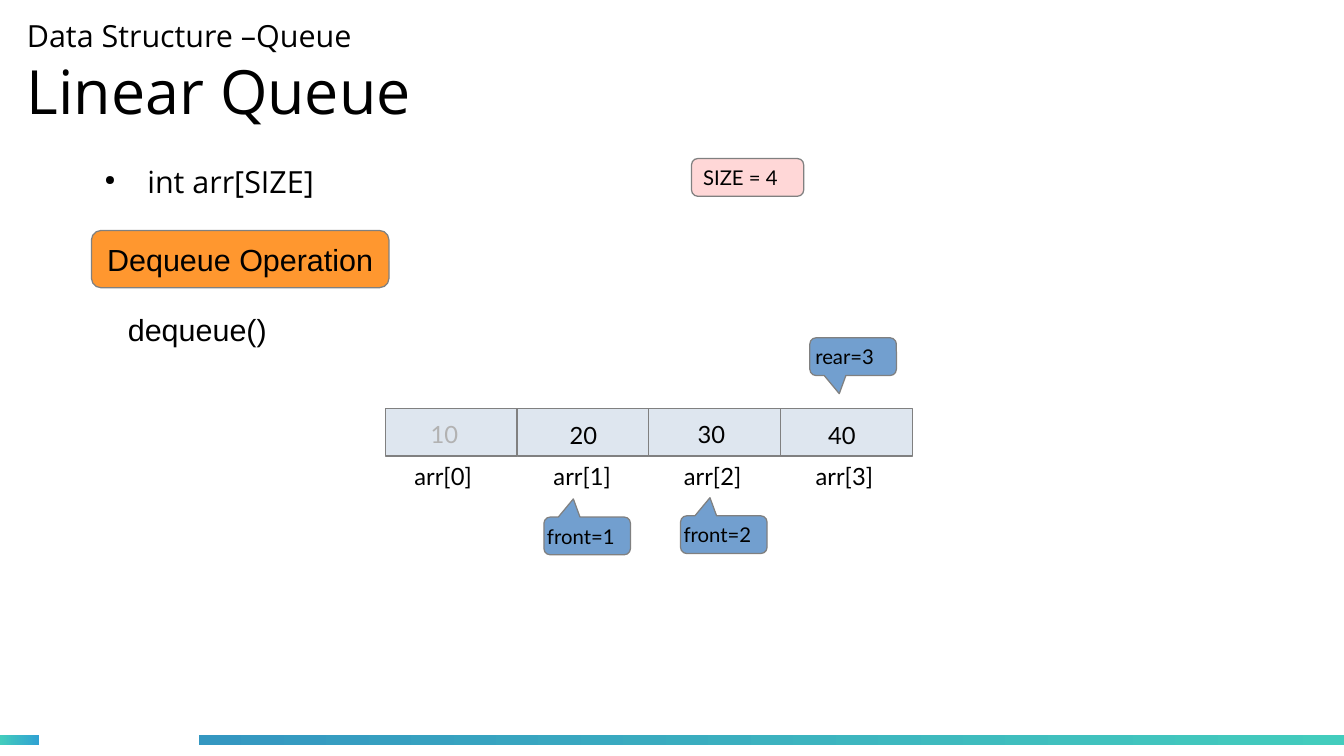
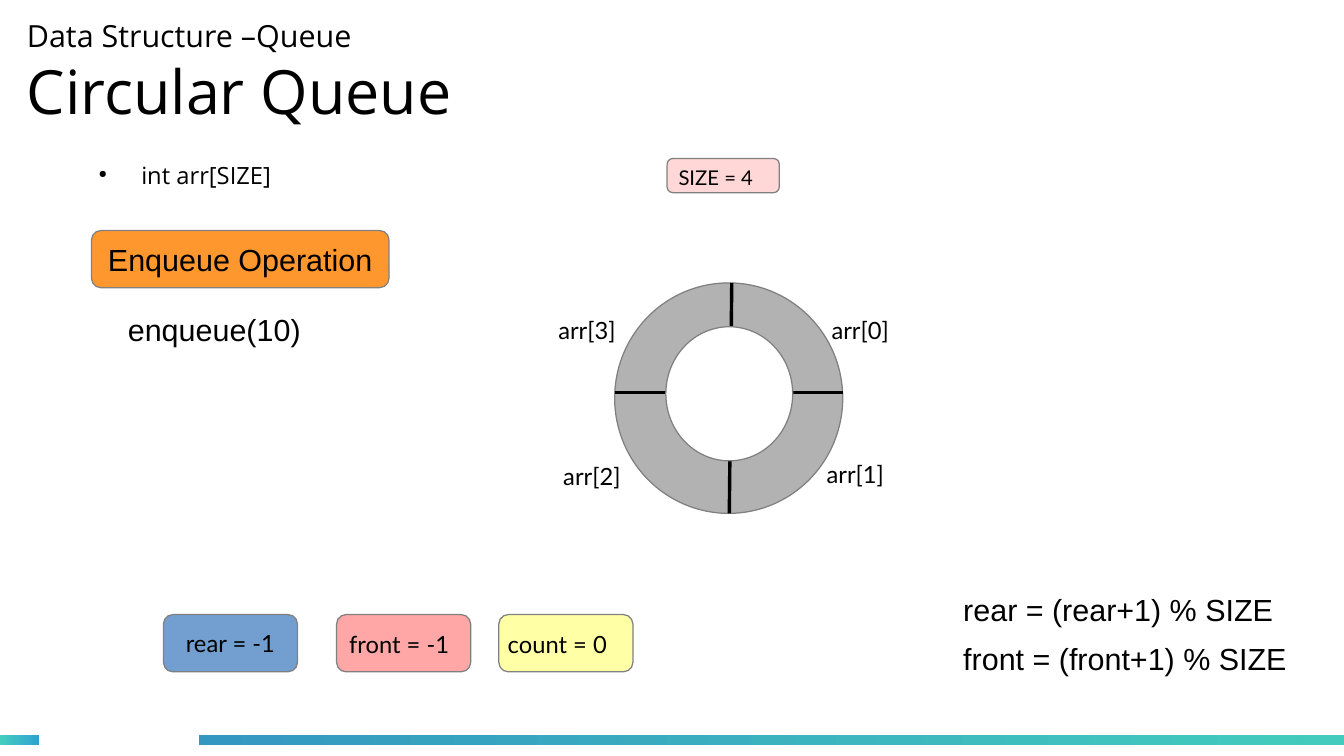
"""Builds two slides on linear and circular queues."""
from dataclasses import dataclass

from lxml import etree
from pptx import Presentation
from pptx.dml.color import RGBColor
from pptx.enum.shapes import MSO_CONNECTOR, MSO_SHAPE
from pptx.enum.text import MSO_ANCHOR, PP_ALIGN
from pptx.oxml.ns import qn
from pptx.util import Inches, Pt

RECT = MSO_SHAPE.RECTANGLE
ROUND = MSO_SHAPE.ROUNDED_RECTANGLE
CALLOUT = MSO_SHAPE.ROUNDED_RECTANGULAR_CALLOUT
OVAL = MSO_SHAPE.OVAL
STRAIGHT = MSO_CONNECTOR.STRAIGHT
TOP, MIDDLE = MSO_ANCHOR.TOP, MSO_ANCHOR.MIDDLE
LEFT, CENTER = PP_ALIGN.LEFT, PP_ALIGN.CENTER


@dataclass(frozen=True)
class Theme:
    black: str = "000000"
    white: str = "FFFFFF"
    outline: str = "808080"
    gray: str = "B2B2B2"
    cell: str = "DEE6EF"
    blue: str = "729FCF"
    pink: str = "FFD7D7"
    red: str = "FFA6A6"
    yellow: str = "FFFFA6"
    orange: str = "FF972F"
    teal: str = "43CCBD"
    band_short: str = "30A2D2"
    band_long: str = "3497C1"
    heading: str = "Open Sans"
    label: str = "Lato"
    body: str = "Arial"
    title_size: int = 36
    body_size: int = 18
    label_size: int = 14
    small_size: int = 12


T = Theme()


def rgb(color):
    return RGBColor.from_string(color)


class Deck:
    def __init__(self):
        self.prs = Presentation()
        self.prs.slide_width = Inches(11.02)
        self.prs.slide_height = Inches(6.2)
        self.s = None

    def style(self, r, size, font, color=T.black):
        r.font.size = Pt(size)
        r.font.name = font
        r.font.color.rgb = rgb(color)

    def insets(self, tf, left=0.1, top=0.05, right=0.0, bottom=0.0):
        tf.margin_left, tf.margin_top = Inches(left), Inches(top)
        tf.margin_right, tf.margin_bottom = Inches(right), Inches(bottom)

    def add_slide(self, title):
        self.s = self.prs.slides.add_slide(self.prs.slide_layouts[6])
        self.band(0, 0.32, T.teal, T.band_short)
        self.band(1.63, 9.4, T.band_long, T.teal)
        tf = self.s.shapes.add_textbox(
            Inches(0.22), Inches(0.08), Inches(7.68), Inches(1.02)).text_frame
        tf.word_wrap = True
        tf.vertical_anchor = MIDDLE
        self.insets(tf, 0, 0)
        p = tf.paragraphs[0]
        p.text = "Data Structure –Queue\v" + title
        for r, size in zip(p.runs, (T.body_size, T.title_size)):
            self.style(r, size, T.heading)

    def band(self, x, w, start, end):
        sp = self.s.shapes.add_shape(
            RECT, Inches(x), Inches(6.03), Inches(w), Inches(0.08))
        sp.shadow.inherit = False
        sp.line.fill.background()
        sp.fill.gradient()
        sp.fill.gradient_angle = 0
        for stop, color in zip(sp.fill.gradient_stops, (start, end)):
            stop.color.rgb = rgb(color)

    def text(self, x, y, w, text, size, font):
        tf = self.s.shapes.add_textbox(
            Inches(x), Inches(y), Inches(w), Inches(0.38)).text_frame
        tf.word_wrap = True
        self.insets(tf)
        p = tf.paragraphs[0]
        p.text = text
        self.style(p.runs[0], size, font)
        return p

    def bullet(self, x, y, w, text, size):
        p = self.text(x, y, w, text, size, T.heading)
        pPr = p._p.get_or_add_pPr()
        pPr.set("marL", str(Inches(0.47)))
        pPr.set("indent", str(Inches(-0.35)))
        clr = etree.SubElement(pPr, qn("a:buClr"))
        etree.SubElement(clr, qn("a:srgbClr"), val=T.black)
        etree.SubElement(pPr, qn("a:buSzPct"), val="45000")
        etree.SubElement(pPr, qn("a:buChar"), char="●")

    def box(self, kind, x, y, w, h, fill, text="", size=T.label_size,
            font=T.label, inset=None, color=T.black):
        sp = self.s.shapes.add_shape(
            kind, Inches(x), Inches(y), Inches(w), Inches(h))
        sp.shadow.inherit = False
        sp.fill.solid()
        sp.fill.fore_color.rgb = rgb(fill)
        sp.line.color.rgb = rgb(T.outline)
        sp.line.width = Pt(0)
        if text:
            tf = sp.text_frame
            tf.word_wrap = False if inset is None else True
            tf.vertical_anchor = MIDDLE if inset is None else TOP
            self.insets(tf, *(inset or (0, 0)))
            p = tf.paragraphs[0]
            p.text = text
            p.alignment = CENTER if inset is None else LEFT
            self.style(p.runs[0], size, font, color)
        return sp

    def callout(self, x, y, text, inset, tip):
        sp = self.box(CALLOUT, x, y, 0.71, 0.31, T.blue, text, T.small_size,
                      inset=(inset, 0.04))
        sp.adjustments[0], sp.adjustments[1] = -0.16, tip

    def operation(self, name, call):
        self.box(ROUND, 0.75, 1.89, 2.44, 0.47, T.orange, name,
                 T.body_size, T.body)
        self.text(0.95, 2.5, 1.8, call, T.body_size, T.body)

    def size_tag(self, x, h):
        self.box(ROUND, x, 1.3, 0.92, h, T.pink, "SIZE = 4", T.small_size,
                 inset=(0.08, 0.04))

    def line(self, x1, y1, x2, y2):
        c = self.s.shapes.add_connector(
            STRAIGHT, Inches(x1), Inches(y1), Inches(x2), Inches(y2))
        c.line.color.rgb = rgb(T.black)
        c.line.width = Pt(0)
        etree.SubElement(c._element.spPr, qn("a:effectLst"))


def linear_queue(d):
    d.add_slide("Linear Queue")
    cells = [("10", 0.37, 3.3, T.gray), ("20", 0.43, 4.44, T.black),
             ("30", 0.4, 5.51, T.black), ("40", 0.39, 6.59, T.black)]
    for i, (value, inset, label_x, color) in enumerate(cells):
        d.box(RECT, 3.16 + 1.08 * i, 3.35, 1.08, 0.39, T.cell, value,
              inset=(inset, 0.09 + 0.01 * (i % 2)), color=color)
        d.text(label_x, 3.74, 1.27, f"arr[{i}]", T.label_size, T.label)
    d.callout(5.58, 4.23, "front=2", 0.01, -0.98)
    d.callout(6.64, 2.77, "rear=3", 0.03, 0.98)
    d.callout(4.46, 4.24, "front=1", 0.01, -0.98)
    d.size_tag(5.67, 0.31)
    d.bullet(0.64, 1.29, 3.14, "int arr[SIZE]", T.body_size)
    d.operation("Dequeue Operation", "dequeue()")


def circular_queue(d):
    d.add_slide("Circular Queue")
    d.bullet(0.59, 1.27, 1.97, "int arr[SIZE]", T.label_size)
    d.size_tag(5.47, 0.28)
    d.operation("Enqueue Operation", "enqueue(10)")
    for x, fill, text, inset in [
            (1.34, T.blue, "rear = -1", None),
            (2.76, T.red, "front = -1", (0.08, 0.1)),
            (4.09, T.yellow, "count = 0", (0.05, 0.1))]:
        d.box(ROUND, x, 5.04, 1.1, 0.47, fill, text, inset=inset)
    spots = [(6.72, 2.54), (6.68, 3.72), (4.52, 3.74), (4.48, 2.54)]
    for i, (x, y) in enumerate(spots):
        d.text(x, y, 0.8, f"arr[{i}]", T.label_size, T.label)
    d.box(OVAL, 5.04, 2.32, 1.87, 1.89, T.gray)
    d.line(6, 2.32, 5.98, 4.21)
    d.line(5.04, 3.22, 6.91, 3.22)
    d.box(OVAL, 5.46, 2.68, 1.04, 1.1, T.white)
    for i, name in enumerate(("rear", "front")):
        d.text(7.8, 4.8 + 0.4 * i, 3.07, f"{name} = ({name}+1) % SIZE",
               T.body_size, T.body)


def main():
    d = Deck()
    linear_queue(d)
    circular_queue(d)
    d.prs.save("out.pptx")


if __name__ == "__main__":
    main()
